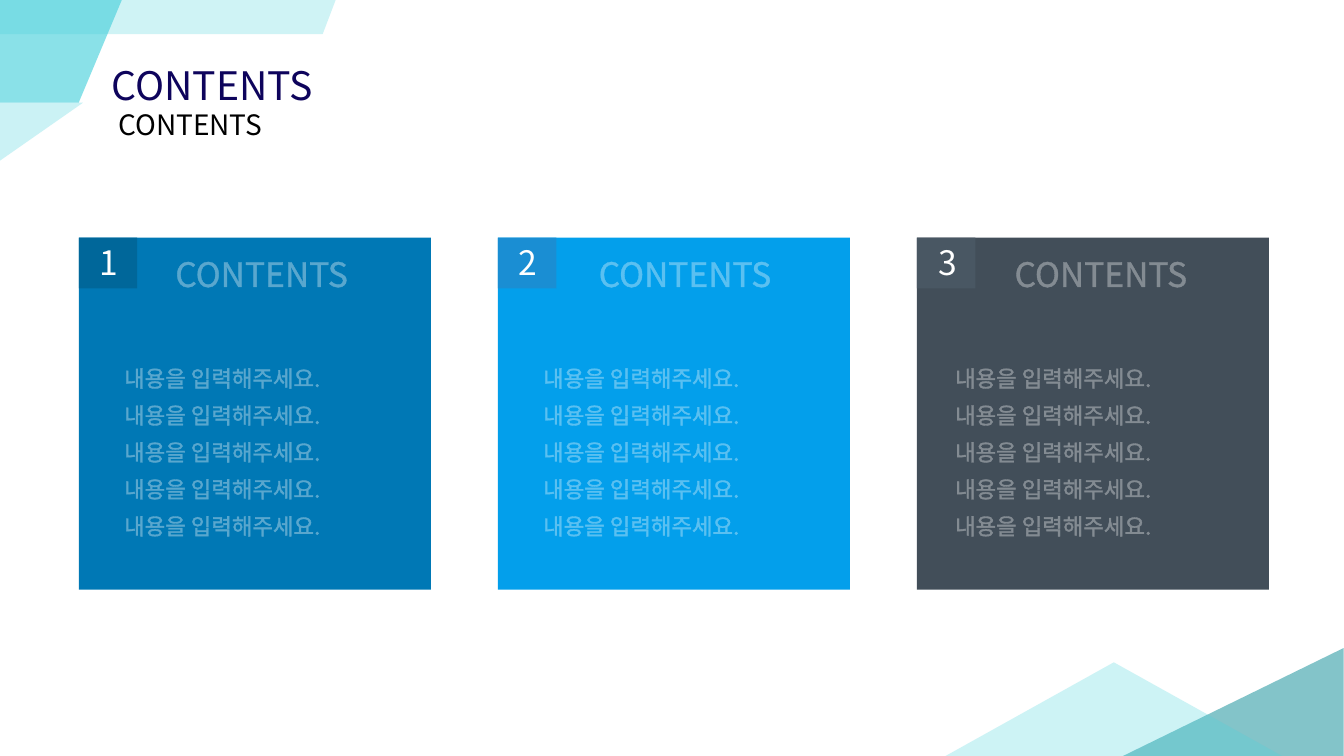
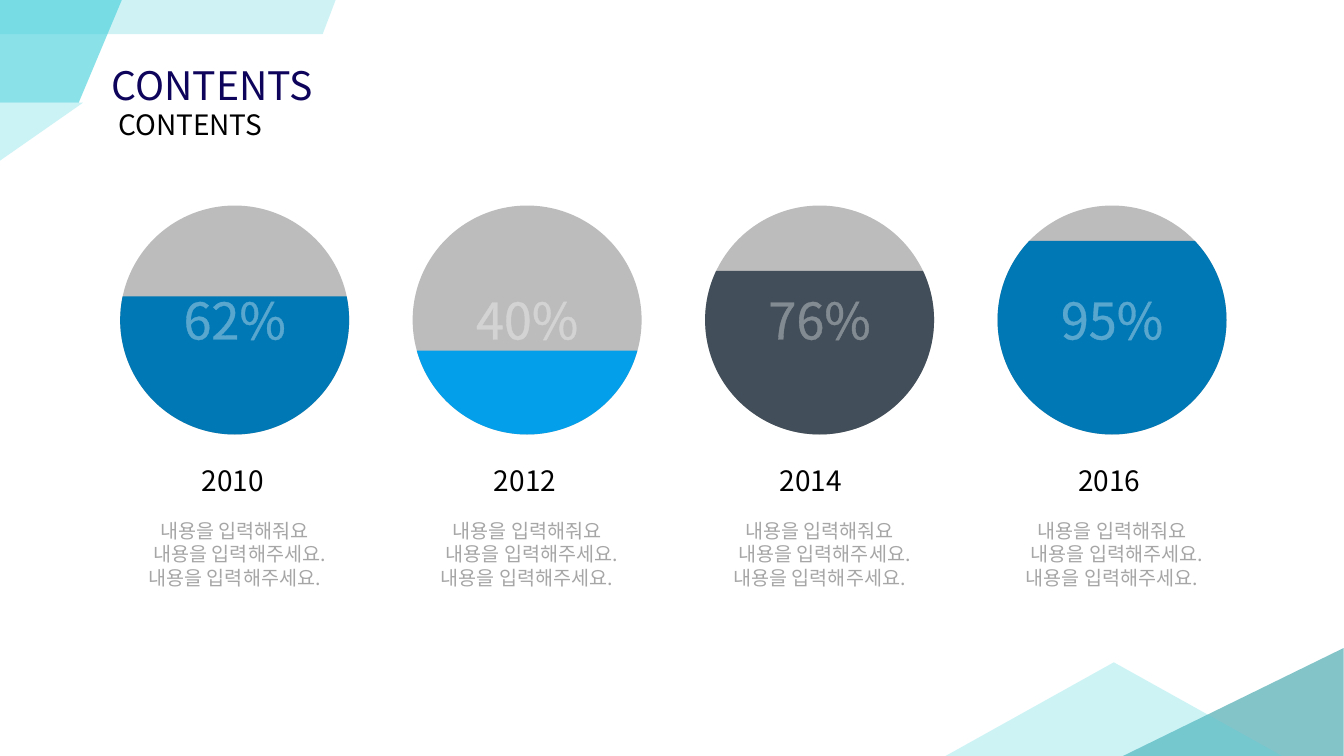
import math

import pptx
import pptx.dml.color
import pptx.enum.shapes
import pptx.enum.text
import pptx.oxml.ns
import pptx.util
from lxml import etree

Cm, Pt = pptx.util.Cm, pptx.util.Pt
SHAPE = pptx.enum.shapes.MSO_SHAPE
ALIGN = pptx.enum.text.PP_ALIGN
qn = pptx.oxml.ns.qn

FONT = "Noto Sans CJK KR"
HEX = {
    "white": "FFFFFF", "black": "000000", "navy": "0E045C",
    "aqua": "48D1DC", "mint": "4ED4DE", "teal": "1E959E",
    "blue": "0078B5", "sky": "039FEB", "slate": "424E59",
    "blue tag": "00679A", "sky tag": "1A8ED3", "slate tag": "495763",
    "grey": "BCBCBC", "ash": "A6A6A6",
}
LINE = "내용을 입력해주세요."

# number, fill, heading offset, body offset
CARDS = [
    ("1", "blue", 2.18, 0.89),
    ("2", "sky", 2.29, 0.89),
    ("3", "slate", 2.21, 0.71),
]
# year, label, fill, depth of the surface below the top, year offset
DIALS = [
    ("2010", "62%", "blue", 2.29, 1.8),
    ("2012", "40%", "sky", 3.66, 1.8),
    ("2014", "76%", "slate", 1.65, 1.63),
    ("2016", "95%", "blue", 0.89, 1.78),
]


def add_alpha(clr, alpha):
    etree.SubElement(clr, qn("a:alpha"), val=str(alpha * 1000))


def add_part(slide, kind, box, color, alpha=100, turn=0):
    """Add a plain filled shape; box is left, top, width, height in cm."""
    part = slide.shapes.add_shape(kind, *map(Cm, box))
    part.shadow.inherit = False
    part.line.fill.background()
    part.fill.solid()
    part.fill.fore_color.rgb = pptx.dml.color.RGBColor.from_string(HEX[color])
    part.rotation = turn
    if alpha < 100:
        add_alpha(part.fill._xPr.find(".//" + qn("a:srgbClr")), alpha)
    return part


def add_edge(run, color, alpha):
    """Outline the letters with a thin see-through line."""
    edge = etree.Element(qn("a:ln"), w="9525")
    fill = etree.SubElement(edge, qn("a:solidFill"))
    add_alpha(etree.SubElement(fill, qn("a:srgbClr"), val=HEX[color]), alpha)
    run.font._element.insert(0, edge)


def add_text(slide, box, lines, size, color, edge=None, align=ALIGN.LEFT, gap=0):
    """Add text; edge is the colour and alpha of the letter outline."""
    frame = slide.shapes.add_textbox(*map(Cm, box)).text_frame
    frame.word_wrap = True
    frame.text = "\n".join(lines)
    for para in frame.paragraphs:
        para.alignment = align
        para.space_after = Pt(gap)
        for run in para.runs:
            font = run.font
            font.size = Pt(size)
            font.name = FONT
            font.color.rgb = pptx.dml.color.RGBColor.from_string(HEX[color])
            etree.SubElement(font._element, qn("a:ea"), typeface=FONT)
            if edge:
                add_edge(run, *edge)
    return frame


def add_frame(slide):
    """Draw the corner bands and the titles that all slides share."""
    band = add_part(slide, SHAPE.PARALLELOGRAM, (-4.42, 0, 7.49, 2.59), "aqua", 64)
    band.adjustments[0] = 0.42
    add_part(slide, SHAPE.RIGHT_TRIANGLE, (29.72, 14.91, 2.72, 5.56), "teal", 55, 270)
    add_part(slide, SHAPE.ISOSCELES_TRIANGLE, (23.83, 16.69, 8.48, 2.36), "mint", 28)
    strip = add_part(slide, SHAPE.PARALLELOGRAM, (-8.28, 0, 16.74, 0.86), "aqua", 26)
    strip.adjustments[0] = 0.38
    add_part(slide, SHAPE.RIGHT_TRIANGLE, (-2.85, 1.71, 4.06, 5.82), "mint", 29, 90)
    add_text(slide, (2.57, 1.42, 8, 1.45), ["CONTENTS"], 28, "navy", ("black", 15))
    add_text(slide, (2.73, 2.59, 8, 1.12), ["CONTENTS"], 20, "black", ("black", 15))


def add_card(slide, left, top, side, card):
    mark, color, head, body = card
    edge = ("white", 35)
    add_part(slide, SHAPE.RECTANGLE, (left, top, side, side), color)
    add_part(slide, SHAPE.RECTANGLE, (left, top, 1.47, 1.28), color + " tag")
    add_text(slide, (left + 0.28, top - 0.03, 1.2, 1.27), [mark], 24, "white")
    add_text(slide, (left + head, top + 0.27, 6.07, 1.27), ["CONTENTS"],
             24, "white", edge)
    add_text(slide, (left + body, top + 3.07, 7.09, 4.7), [LINE] * 5,
             16, "white", edge, gap=7.2)


def add_dial(slide, left, top, side, dial):
    year, label, color, depth, shift = dial
    add_part(slide, SHAPE.OVAL, (left, top, side, side), "grey")
    level = add_part(slide, SHAPE.CHORD, (left, top, side, side), color)
    angle = math.degrees(math.asin(2 * depth / side - 1))
    # Angles are stored in 60000ths of a degree, adjustments in 100000ths.
    level.adjustments[0] = angle % 360 * 0.6
    level.adjustments[1] = (180 - angle) * 0.6
    add_text(slide, (left, top + 1.98, side, 1.8), [label], 36, "white",
             ("white", 35), ALIGN.CENTER)
    add_text(slide, (left + shift, top + 6.38, 2.6, 1.12), [year], 20, "black",
             ("black", 15))
    note = add_text(slide, (left, top + 7.77, side, 2.06),
                    ["내용을 입력해줘요", LINE, LINE], 14, "ash",
                    ("ash", 10), ALIGN.CENTER)
    note.paragraphs[1]._p.get_or_add_pPr().set("marL", str(Cm(0.25)))


def add_row(deck, draw, items, left, top, side, step):
    """Add a slide with items drawn in a row at an equal step."""
    slide = deck.slides.add_slide(deck.slide_layouts[6])
    add_frame(slide)
    for i, item in enumerate(items):
        draw(slide, left + i * step, top, side, item)


def main():
    deck = pptx.Presentation()
    deck.slide_width, deck.slide_height = Cm(33.87), Cm(19.05)
    add_row(deck, add_card, CARDS, 1.99, 5.99, 8.87, 10.56)
    add_row(deck, add_dial, DIALS, 3.03, 5.18, 5.77, 7.37)
    deck.save("out.pptx")


if __name__ == "__main__":
    main()
